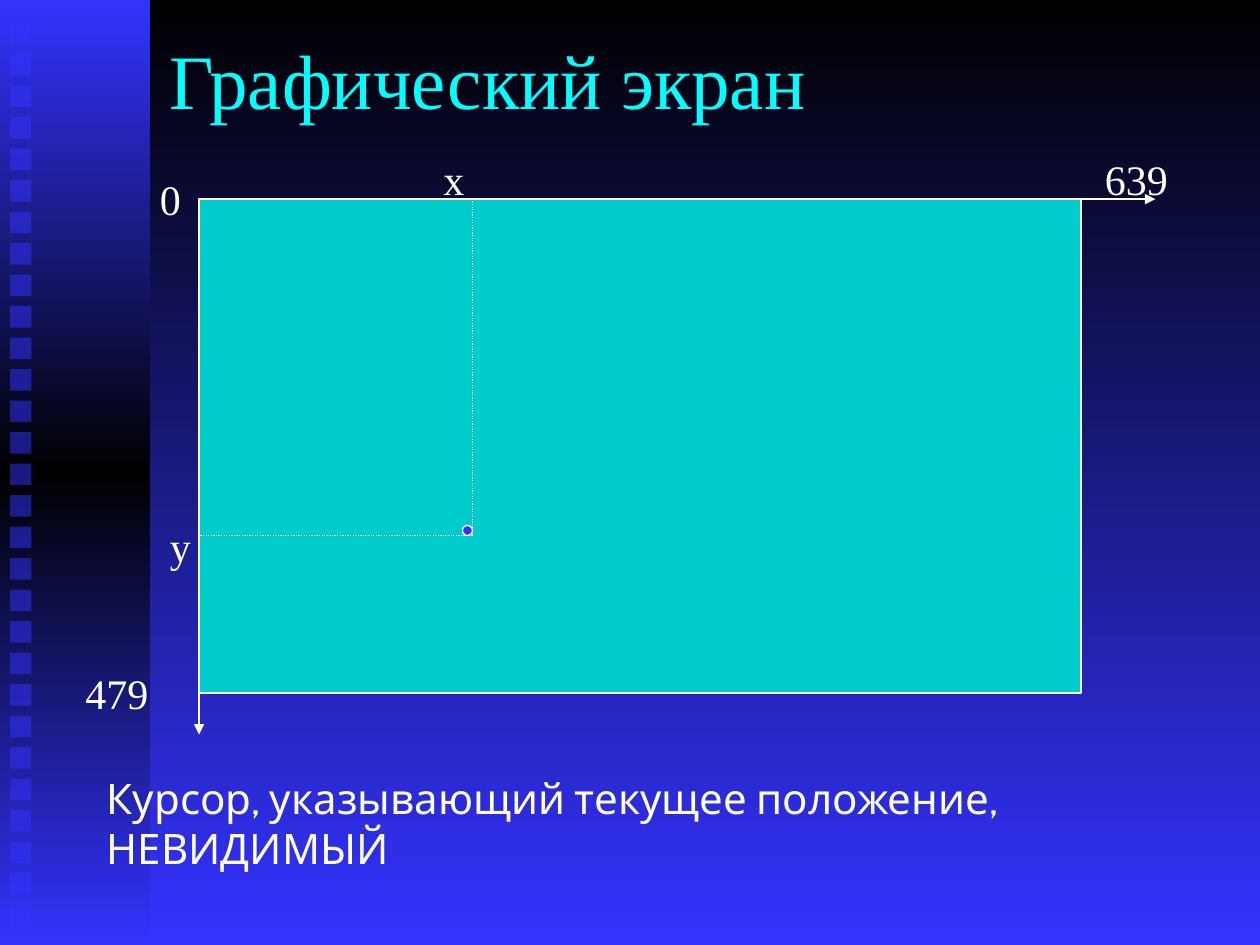
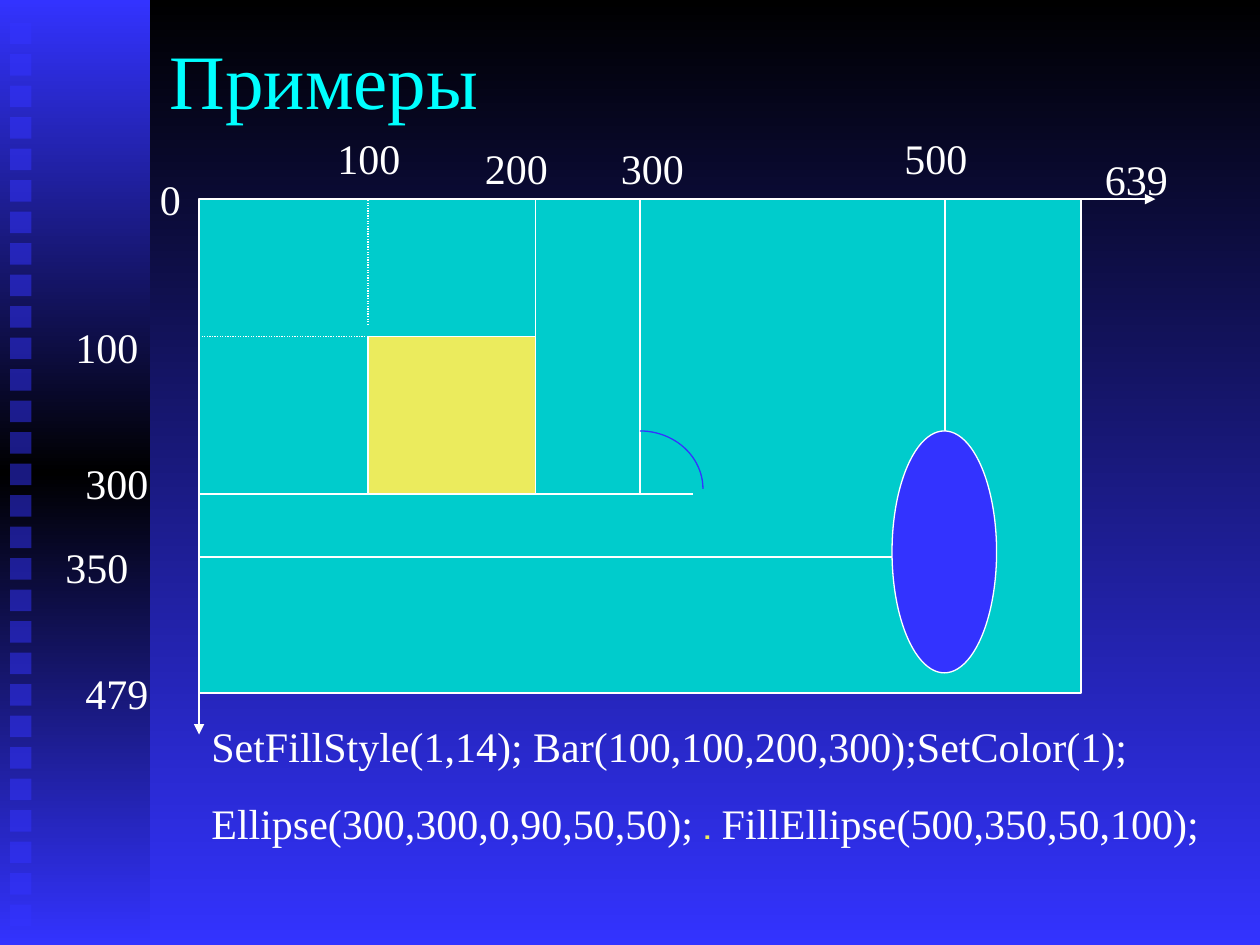
"""Build two slides about the graphics screen and its coordinates."""
from lxml import etree
from pptx import Presentation
from pptx import util as u
from pptx.dml.color import RGBColor
from pptx.enum import dml, shapes, text
from pptx.oxml import ns

COLOURS = {"blue": "3333FF", "black": "000000", "screen": "00CCCC",
           "title": "00FFFF", "white": "FFFFFF", "yellow": "EBEB5D"}
SERIF, SANS = "Times New Roman", "Cabin"
LEFT, TOP, WIDTH, HEIGHT = 1.58, 1.58, 7, 3.92


def add_element(parent, tag, **attributes):
    return etree.SubElement(parent, ns.qn(tag), attributes)


class SlideWriter:
    def __init__(self, deck):
        self.deck = deck
        self.page = None

    def colour(self, name):
        return RGBColor.from_string(COLOURS[name])

    def new_page(self, title):
        self.page = self.deck.slides.add_slide(self.deck.slide_layouts[6])
        self.gradient(self.page.background.fill, self.page.element, ["black", "blue"])
        band = self.shape(shapes.MSO_SHAPE.RECTANGLE, (0, 0, 1.19, 7.5))
        self.gradient(band.fill, band.element, ["blue", "black", "blue"])
        for row in range(29):
            square = self.shape(shapes.MSO_SHAPE.RECTANGLE,
                                (0.08, 0.18 + 0.25 * row, 0.17, 0.17), "blue")
            for tint in square.element.xpath("p:spPr/a:solidFill/a:srgbClr"):
                add_element(tint, "a:alpha", val="50000")
        box = self.text((1.25, 0, 8.5, 1.25), [[(title, SERIF, "title")]], 44)
        box.text_frame.vertical_anchor = text.MSO_ANCHOR.MIDDLE

    def gradient(self, fill, element, names):
        fill.gradient()
        fill.gradient_angle = 270
        stops = element.xpath(".//a:gsLst")[0]
        for stop in list(stops):
            stops.remove(stop)
        for index, name in enumerate(names):
            position = 100000 * index // (len(names) - 1)
            stop = add_element(stops, "a:gs", pos=str(position))
            add_element(stop, "a:srgbClr", val=COLOURS[name])

    def shape(self, kind, place, fill=None, line=None):
        shape = self.page.shapes.add_shape(kind, *map(u.Inches, place))
        shape.shadow.inherit = False
        if fill:
            shape.fill.solid()
            shape.fill.fore_color.rgb = self.colour(fill)
        else:
            shape.fill.background()
        if line:
            shape.line.color.rgb = self.colour(line)
            shape.line.width = u.Pt(0.75)
        else:
            shape.line.fill.background()
        return shape

    def line(self, start, end, dotted=False, arrow=False):
        line = self.page.shapes.add_connector(
            shapes.MSO_CONNECTOR.STRAIGHT, *map(u.Inches, (*start, *end)))
        line.line.color.rgb = self.colour("white")
        line.line.width = u.Pt(0.75)
        if dotted:
            line.line.dash_style = dml.MSO_LINE.ROUND_DOT
        if arrow:
            add_element(line.line._get_or_add_ln(), "a:tailEnd", type="triangle")
        add_element(line.element.spPr, "a:effectLst")
        return line

    def text(self, place, lines, size=24):
        box = self.page.shapes.add_textbox(*map(u.Inches, place))
        frame = box.text_frame
        frame.word_wrap = True
        for index, spans in enumerate(lines):
            para = frame.add_paragraph() if index else frame.paragraphs[0]
            if index:
                para.space_before = u.Pt(15)
            for words, font, colour in spans:
                span = para.add_run()
                span.text = words
                span.font.name = font
                span.font.size = u.Pt(size)
                span.font.color.rgb = self.colour(colour)
        return box

    def labels(self, entries):
        for words, left, top, width in entries:
            self.text((left, top, width, 0.5), [[(words, SERIF, "white")]])

    def screen(self):
        screen = self.shape(shapes.MSO_SHAPE.RECTANGLE,
                            (LEFT, TOP, WIDTH, HEIGHT), "screen", "white")
        for end in ((9.17, TOP), (LEFT, 5.83)):
            self.line((LEFT, TOP), end, arrow=True)
        self.labels([("0", 1.17, 1.33, 0.58), ("639", 8.67, 1.17, 1),
                     ("479", 0.58, 5.25, 0.92)])
        return screen


def graphics_screen(writer):
    writer.new_page("Графический экран")
    writer.screen()
    writer.shape(shapes.MSO_SHAPE.OVAL, (3.67, 4.17, 0.08, 0.08), "blue", "white")
    for end in ((3.75, TOP), (LEFT, 4.25)):
        writer.line((3.75, 4.25), end, dotted=True)
    writer.labels([("x", 3.42, 1.17, 0.58), ("y", 1.25, 4.08, 0.42)])
    caption = "Курсор, указывающий текущее положение, НЕВИДИМЫЙ"
    writer.text((0.75, 6.08, 9, 0.9), [[(caption, SANS, "white")]])


def examples(writer):
    writer.new_page("Примеры")
    screen = writer.screen()
    writer.line((2.92, 2.58), (2.92, TOP), dotted=True)
    writer.line((2.92, 2.67), (LEFT, 2.67), dotted=True)
    writer.line((LEFT, 3.92), (5.5, 3.92))
    writer.line((4.25, 3.92), (4.25, TOP))
    writer.shape(shapes.MSO_SHAPE.RECTANGLE, (2.92, 2.67, 1.33, 1.25), "yellow", "white")
    centre_guide = writer.line((5.08, TOP), (5.08, 3.92))
    centre_guide.begin_connect(screen, 0)
    writer.shape(shapes.MSO_SHAPE.ARC, (4.58, 3.42, 1, 0.92), line="blue")
    for start in ((LEFT, 4.42), (7.5, TOP)):
        writer.line(start, (7.5, 4.42))
    writer.shape(shapes.MSO_SHAPE.OVAL, (7.08, 3.42, 0.83, 1.92), "blue", "white")
    writer.labels([("100", 2.58, 1, 1.17), ("200", 3.75, 1.08, 0.92),
                   ("300", 4.83, 1.08, 0.83), ("500", 7.08, 1, 1),
                   ("100", 0.5, 2.5, 1), ("300", 0.58, 3.58, 0.75),
                   ("350", 0.42, 4.25, 0.92)])
    writer.text((LEFT, 5.67, 9, 1.72), [
        [("SetFillStyle(1,14); Bar(100,100,200,300);SetColor(1);", SERIF, "white")],
        [("Ellipse(300,300,0,90,50,50); ", SERIF, "white"), (". ", SANS, "yellow"),
         ("FillEllipse(500,350,50,100);", SERIF, "white")]])


def main():
    deck = Presentation()
    deck.slide_width, deck.slide_height = u.Inches(10), u.Inches(7.5)
    writer = SlideWriter(deck)
    graphics_screen(writer)
    examples(writer)
    deck.save("out.pptx")


if __name__ == "__main__":
    main()
